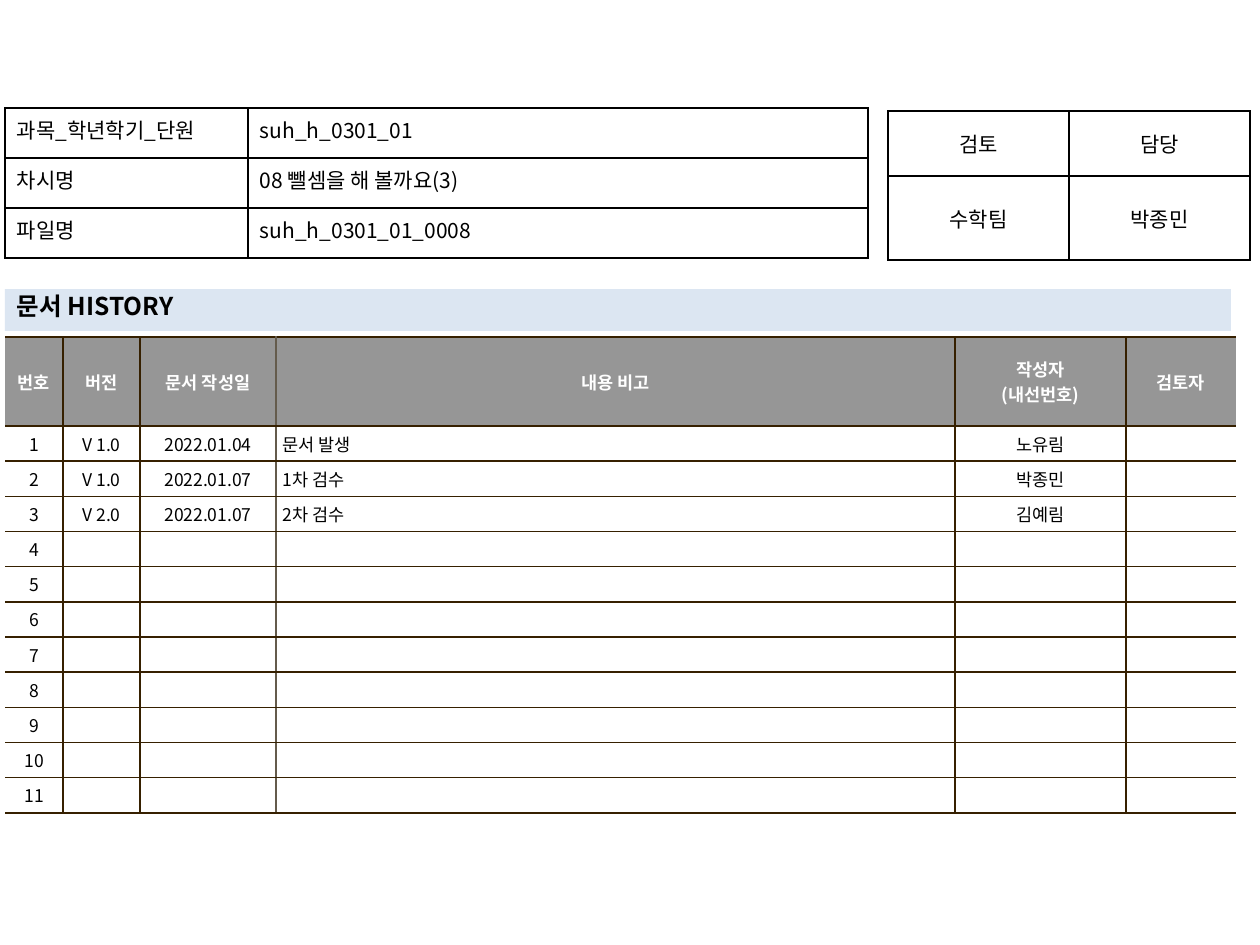
from pptx import Presentation
from pptx.dml.color import RGBColor
from pptx.enum.shapes import MSO_SHAPE as Shape
from pptx.enum.text import MSO_ANCHOR as Anchor, MSO_AUTO_SIZE as AutoSize, PP_ALIGN as Align
from pptx.oxml.ns import qn
from pptx.util import Pt
from lxml.etree import SubElement

PX = 914400 // 126
FONT = "Noto Sans CJK KR"
BLACK = RGBColor(0x00, 0x00, 0x00)
WHITE = RGBColor(0xFF, 0xFF, 0xFF)
GRAY = RGBColor(0x96, 0x96, 0x96)
PALE_BLUE = RGBColor(0xDC, 0xE6, 0xF2)
BROWN = RGBColor(0x36, 0x20, 0x00)
TAUPE = RGBColor(0x64, 0x5B, 0x4C)


def write(frame, text, size, align=Align.LEFT, color=BLACK, bold=False):
    """Put each line of text in its own paragraph."""
    for number, line in enumerate(text.split("\n")):
        para = frame.paragraphs[0] if number == 0 else frame.add_paragraph()
        para.alignment = align
        if not line:
            # An empty cell keeps the row height of the small text
            SubElement(para._p, qn("a:endParaRPr"), sz=str(size * 100))
            continue
        span = para.add_run()
        span.text = line
        span.font.size = Pt(size)
        span.font.bold = bold
        span.font.color.rgb = color
        span.font.name = FONT
        SubElement(span._r.get_or_add_rPr(), qn("a:ea"), typeface=FONT)


def add_grid(left, top, widths, heights, edges, rule, inset):
    """Add a plain table; edges are the colours of its vertical lines."""
    frame = page.shapes.add_table(len(heights), len(widths), left * PX, top * PX,
                                  sum(widths) * PX, sum(heights) * PX)
    grid = frame.table
    grid.first_row = grid.horz_banding = False
    for column, width in zip(grid.columns, widths):
        column.width = width * PX
    for row, height in zip(grid.rows, heights):
        row.height = height * PX
        for col, cell in enumerate(row.cells):
            cell.margin_left = cell.margin_right = inset * 2 * PX
            cell.margin_top = cell.margin_bottom = inset * PX
            sides = {"a:lnL": edges[col], "a:lnR": edges[col + 1], "a:lnT": rule, "a:lnB": rule}
            for tag, color in sides.items():
                line = SubElement(cell._tc.get_or_add_tcPr(), qn(tag), w=str(Pt(1)))
                if color is None:
                    SubElement(line, qn("a:noFill"))
                else:
                    SubElement(SubElement(line, qn("a:solidFill")), qn("a:srgbClr"), val=str(color))
            cell.fill.background()
    return grid


deck = Presentation()
deck.slide_width = 1260 * PX
deck.slide_height = 945 * PX
page = deck.slides.add_slide(deck.slide_layouts[6])

# Document history table
HISTORY = [
    ["번호", "버전", "문서 작성일", "내용 비고", "작성자\n(내선번호)", "검토자"],
    ["1", "V 1.0", "2022.01.04", "문서 발생", "노유림", ""],
    ["2", "V 1.0", "2022.01.07", "1차 검수", "박종민", ""],
    ["3", "V 2.0", "2022.01.07", "2차 검수", "김예림", ""],
]
HISTORY += [[str(number)] + [""] * 5 for number in range(4, 12)]
NOTE_COLUMN = 3
history = add_grid(5, 337, [58, 77, 136, 679, 171, 110], [89] + [31] * 11,
                   [None, BROWN, BROWN, TAUPE, BROWN, BROWN, None], BROWN, 5)
for r, texts in enumerate(HISTORY):
    for c, text in enumerate(texts):
        cell = history.cell(r, c)
        header = r == 0
        cell.vertical_anchor = Anchor.MIDDLE
        cell.margin_left = cell.margin_right = 7 * PX
        cell.fill.solid()
        cell.fill.fore_color.rgb = GRAY if header else WHITE
        align = Align.LEFT if c == NOTE_COLUMN and not header else Align.CENTER
        write(cell.text_frame, text, 10, align, WHITE if header else BLACK, header)

# Review table
REVIEW = [["검토", "담당"], ["수학팀", "박종민"]]
review = add_grid(888, 111, [181, 181], [65, 84], [BLACK] * 3, BLACK, 6)
for r, texts in enumerate(REVIEW):
    for c, text in enumerate(texts):
        review.cell(r, c).vertical_anchor = Anchor.MIDDLE
        write(review.cell(r, c).text_frame, text, 12, Align.CENTER)

# History heading band
band = page.shapes.add_shape(Shape.RECTANGLE, 5 * PX, 289 * PX, 1226 * PX, 42 * PX)
band.shadow.inherit = False
band.fill.solid()
band.fill.fore_color.rgb = PALE_BLUE
band.line.fill.background()
box = band.text_frame
box.word_wrap = True
box.auto_size = AutoSize.SHAPE_TO_FIT_TEXT
box.vertical_anchor = Anchor.TOP
box.margin_left = box.margin_right = 12 * PX
box.margin_top = 2 * PX
box.margin_bottom = 4 * PX
write(box, "문서 HISTORY", 14, bold=True)

# Lesson information table
LESSON = [
    ["과목_학년학기_단원", "suh_h_0301_01"],
    ["차시명", "08 뺄셈을 해 볼까요(3)"],
    ["파일명", "suh_h_0301_01_0008"],
]
lesson = add_grid(5, 108, [243, 620], [50] * 3, [BLACK] * 3, BLACK, 6)
for r, texts in enumerate(LESSON):
    for c, text in enumerate(texts):
        write(lesson.cell(r, c).text_frame, text, 12, Align.JUSTIFY if c == 0 else Align.LEFT)

deck.save("out.pptx")
